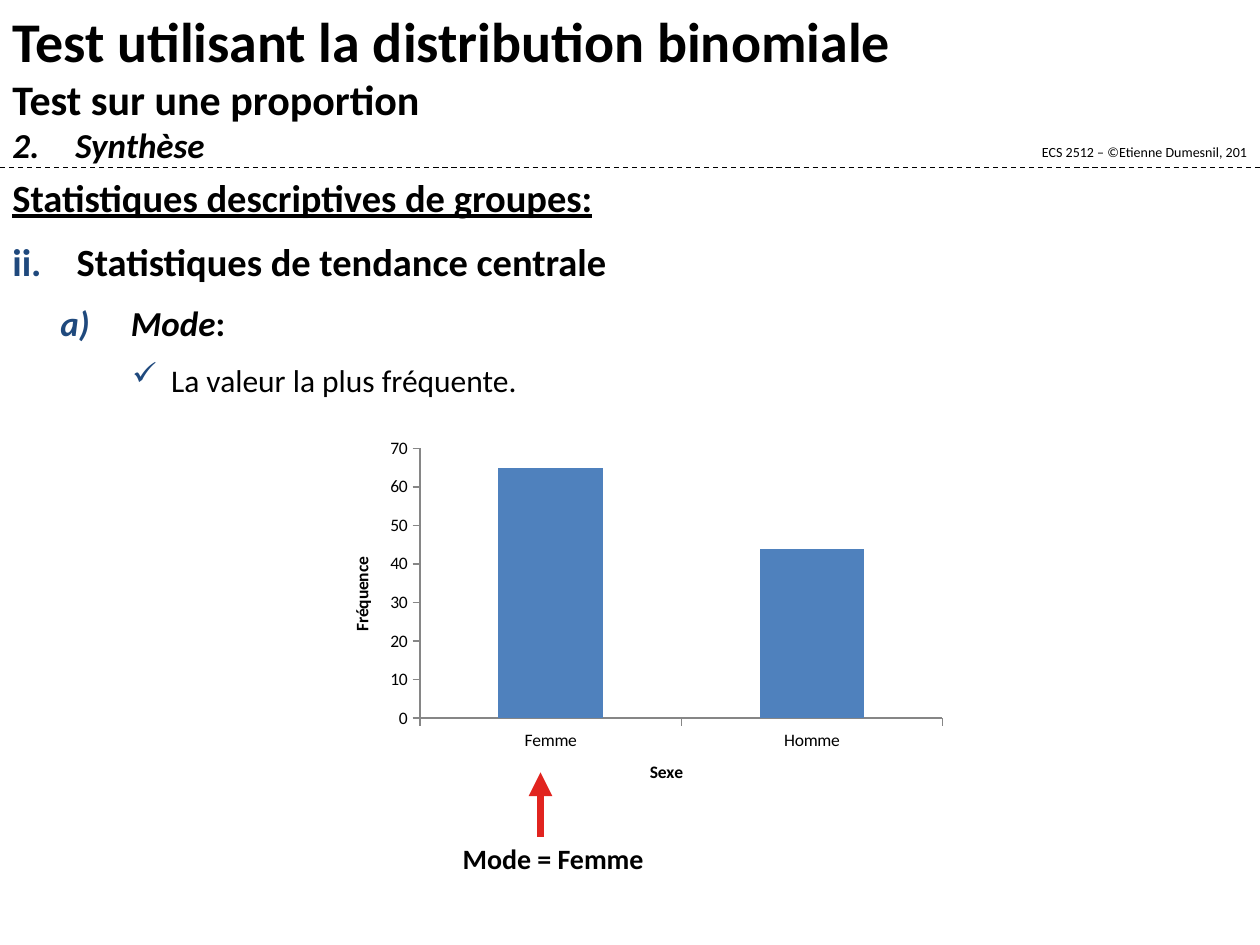
from lxml import etree
from pptx import Presentation
from pptx.chart.data import CategoryChartData
from pptx.dml.color import RGBColor
from pptx.enum.chart import XL_CHART_TYPE, XL_TICK_MARK
from pptx.enum.dml import MSO_LINE
from pptx.enum.shapes import MSO_CONNECTOR, MSO_SHAPE
from pptx.enum.text import MSO_ANCHOR, PP_ALIGN
from pptx.oxml.ns import qn
from pptx.util import Inches, Pt

COLUMNS = XL_CHART_TYPE.COLUMN_CLUSTERED
TICK_OUT = XL_TICK_MARK.OUTSIDE
DASH = MSO_LINE.DASH
STRAIGHT = MSO_CONNECTOR.STRAIGHT
RECTANGLE = MSO_SHAPE.RECTANGLE
MIDDLE = MSO_ANCHOR.MIDDLE
CENTER, RIGHT = PP_ALIGN.CENTER, PP_ALIGN.RIGHT

FONT = "Calibri"
BLACK, WHITE, NAVY = "000000", "FFFFFF", "1F497D"
RED, BLUE, GRAY = "E1241F", "4F81BD", "868686"
color = RGBColor.from_string


def write(paragraph, text, size, bold=True, italic=False, underline=False):
    run = paragraph.add_run()
    run.text = text
    font = run.font
    font.name, font.size = FONT, Pt(size)
    font.bold, font.italic, font.underline = bold, italic, underline
    font.color.rgb = color(BLACK)


def set_bullet(paragraph, left, hanging, tag, bullet_color=BLACK, **attributes):
    """Add a hanging bullet; tag is buAutoNum or buChar, with its attributes."""
    properties = paragraph._p.get_or_add_pPr()
    properties.set("marL", str(Inches(left)))
    properties.set("indent", str(-Inches(hanging)))
    bullet_fill = etree.SubElement(properties, qn("a:buClr"))
    etree.SubElement(bullet_fill, qn("a:srgbClr"), val=bullet_color)
    etree.SubElement(properties, qn("a:" + tag), **attributes)


presentation = Presentation()
presentation.slide_width, presentation.slide_height = Inches(10), Inches(7.5)
slide = presentation.slides.add_slide(presentation.slide_layouts[6])
shapes = slide.shapes

# Course credit
credit = shapes.add_shape(RECTANGLE, Inches(8.08), Inches(1.08), Inches(1.92), Inches(0.25))
credit.shadow.inherit = False
credit.fill.solid()
credit.fill.fore_color.rgb = color(WHITE)
credit.line.fill.background()
credit.text_frame.vertical_anchor = MIDDLE
credit_line = credit.text_frame.paragraphs[0]
credit_line.alignment = RIGHT
write(credit_line, "ECS 2512 – ©Etienne Dumesnil, 201", 8, bold=False)

# Text areas
frames = []
for left, top, width, height in [(0, 0, 10, 1.31), (0, 1.33, 10, 6.17), (3.5, 6.63, 1.78, 0.46)]:
    box = shapes.add_textbox(Inches(left), Inches(top), Inches(width), Inches(height))
    box.text_frame.word_wrap = True
    frames.append(box.text_frame)
heading, body, mode_caption = frames

title = heading.paragraphs[0]
write(title, "Test utilisant la distribution binomiale", 32)
title.add_line_break()
write(title, "Test sur une proportion", 24)
section = heading.add_paragraph()
set_bullet(section, 0.5, 0.5, "buAutoNum", type="arabicPeriod", startAt="2")
write(section, "Synthèse", 20, italic=True)

topic = body.paragraphs[0]
write(topic, "Statistiques descriptives de groupes:", 22, underline=True)
family, measure, definition = [body.add_paragraph() for _ in range(3)]
caption = mode_caption.paragraphs[0]
caption.alignment = CENTER
for level, paragraph in enumerate([family, measure, definition]):
    paragraph.level = level
for paragraph, size in [(topic, 22), (family, 22), (measure, 20), (definition, 18), (caption, 16)]:
    paragraph.space_before = Pt(0.2 * size)
    paragraph.space_after = Pt(6)

set_bullet(family, 0.51, 0.56, "buAutoNum", NAVY, type="romanLcPeriod", startAt="2")
write(family, "Statistiques de tendance centrale", 22)
set_bullet(measure, 0.94, 0.56, "buAutoNum", NAVY, type="alphaLcParenR")
write(measure, "Mode", 20, italic=True)
write(measure, ":", 20)
set_bullet(definition, 1.26, 0.31, "buChar", NAVY, char="✓")
write(definition, "La valeur la plus fréquente.", 18, bold=False)
write(caption, "Mode = Femme", 16)

# Heading rule and mode arrow
rule = shapes.add_connector(STRAIGHT, Inches(0), Inches(1.33), Inches(10), Inches(1.33))
arrow = shapes.add_connector(STRAIGHT, Inches(4.29), Inches(6.64), Inches(4.29), Inches(6.13))
for connector, line_color, weight in [(rule, BLACK, 0.75), (arrow, RED, 4.5)]:
    connector.line.color.rgb = color(line_color)
    connector.line.width = Pt(weight)
    etree.SubElement(connector._element.spPr, qn("a:effectLst"))
rule.line.dash_style = DASH
etree.SubElement(arrow.line._get_or_add_ln(), qn("a:tailEnd"), type="triangle")

# Frequency chart
frequencies = CategoryChartData()
frequencies.categories = ["Femme", "Homme"]
frequencies.add_series("Series 1", [65, 44])
chart = shapes.add_chart(
    COLUMNS, Inches(2.58), Inches(3.42), Inches(5), Inches(3), frequencies
).chart
chart.has_legend = False
chart.has_title = False
chart.font.name, chart.font.size = FONT, Pt(10)
chart.font.color.rgb = color(BLACK)

columns = chart.plots[0]
columns.gap_width = 150
columns.vary_by_categories = False
columns.series[0].format.fill.solid()
columns.series[0].format.fill.fore_color.rgb = color(BLUE)

for axis, label in [(chart.category_axis, "Sexe"), (chart.value_axis, "Fréquence")]:
    axis.has_major_gridlines = False
    axis.major_tick_mark = TICK_OUT
    axis.format.line.color.rgb = color(GRAY)
    axis.format.line.width = Pt(0.75)
    write(axis.axis_title.text_frame.paragraphs[0], label, 10)
chart.value_axis.minimum_scale = 0
chart.value_axis.maximum_scale = 70
chart.value_axis.major_unit = 10

presentation.save("out.pptx")
